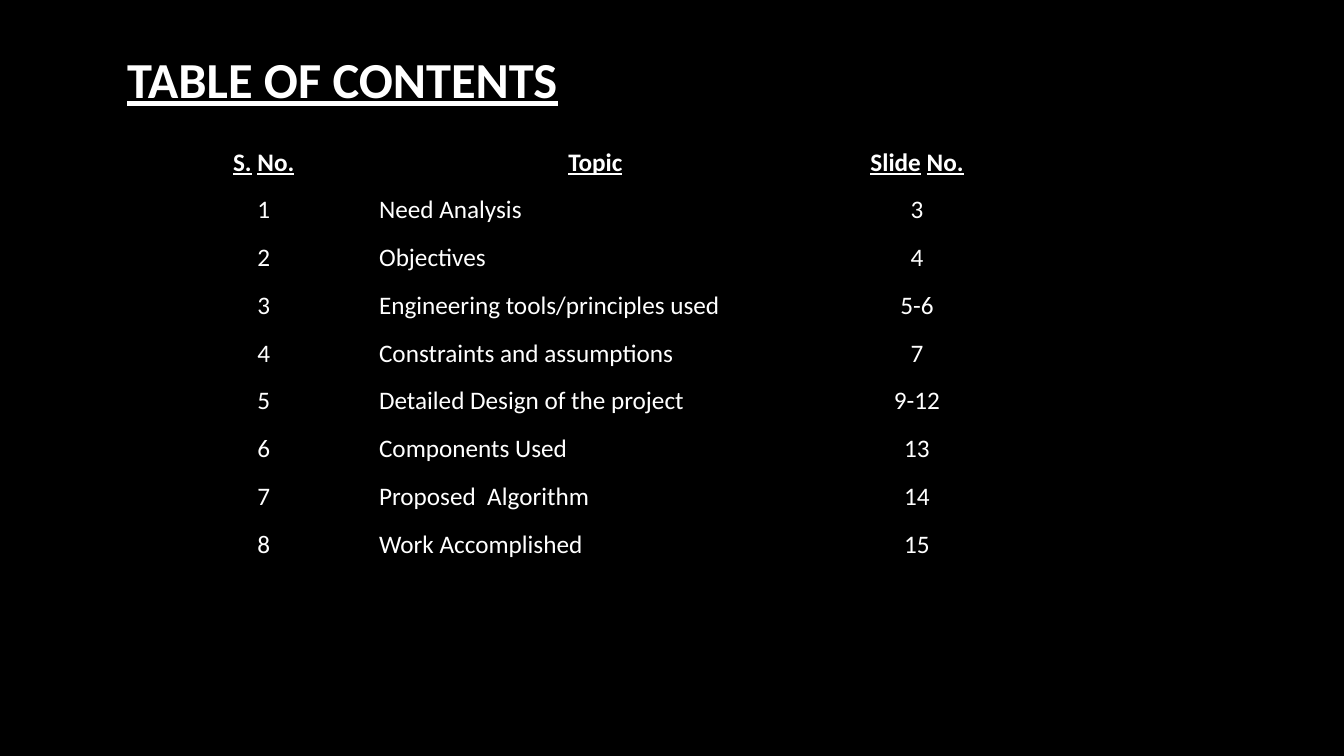
"""Build a table of contents slide with a title and a borderless topic table."""
from pptx import Presentation
from pptx.dml.color import RGBColor
from pptx.enum.text import MSO_ANCHOR as Anchor, PP_ALIGN as Align
from pptx.util import Inches, Pt

BLACK = RGBColor(0x00, 0x00, 0x00)
WHITE = RGBColor(0xFF, 0xFF, 0xFF)
FONT = "Calibri"
TITLE_ONLY = 5
NO_STYLE_NO_GRID = "{2D5ABB26-0587-4C30-8999-92F81FD0307C}"

SLIDE_WIDTH, SLIDE_HEIGHT = Inches(13.33), Inches(7.5)
TABLE_LEFT, TABLE_TOP, TABLE_HEIGHT = Inches(1.55), Inches(1.42), Inches(4.2)
COLUMN_WIDTHS = [Inches(2.13), Inches(4.45), Inches(1.93)]
LAST_ROW_HEIGHT = Inches(0.41)
COLUMN_ALIGNS = [Align.CENTER, Align.JUSTIFY, Align.CENTER]

HEADINGS = [["S.", "No."], ["Topic"], ["Slide", "No."]]
TOPICS = [
    ("Need Analysis", "3"),
    ("Objectives", "4"),
    ("Engineering tools/principles used", "5-6"),
    ("Constraints and assumptions", "7"),
    ("Detailed Design of the project", "9-12"),
    ("Components Used", "13"),
    ("Proposed  Algorithm", "14"),
    ("Work Accomplished", "15"),
]


def add_run(paragraph, text, size, heading=False):
    run = paragraph.add_run()
    run.text = text
    run.font.name = FONT
    run.font.size = Pt(size)
    run.font.color.rgb = WHITE
    run.font.bold = heading
    run.font.underline = heading


def add_title(slide, text):
    title = slide.shapes.title
    title.left, title.top = Inches(1.16), Inches(0.18)
    title.width, title.height = Inches(10.82), Inches(1.27)
    title.text_frame.vertical_anchor = Anchor.MIDDLE
    paragraph = title.text_frame.paragraphs[0]
    paragraph.alignment = Align.LEFT
    paragraph.line_spacing = 0.9
    add_run(paragraph, text, 36, heading=True)


def format_cell(cell, align):
    cell.fill.solid()
    cell.fill.fore_color.rgb = BLACK
    cell.margin_left = cell.margin_right = Inches(0.08)
    cell.margin_top, cell.margin_bottom = Inches(0.04), 0
    cell.vertical_anchor = Anchor.TOP
    paragraph = cell.text_frame.paragraphs[0]
    paragraph.alignment = align
    return paragraph


def add_contents_table(slide):
    row_count = len(TOPICS) + 1
    table = slide.shapes.add_table(
        row_count, len(COLUMN_WIDTHS), TABLE_LEFT, TABLE_TOP,
        sum(COLUMN_WIDTHS), TABLE_HEIGHT).table
    table.first_row = table.horz_banding = False
    table._tbl.tblPr[0].text = NO_STYLE_NO_GRID
    for column, width in zip(table.columns, COLUMN_WIDTHS):
        column.width = width
    for row in table.rows:
        row.height = (TABLE_HEIGHT - LAST_ROW_HEIGHT) // len(TOPICS)
    table.rows[row_count - 1].height = LAST_ROW_HEIGHT

    for column, words in enumerate(HEADINGS):
        paragraph = format_cell(table.cell(0, column), Align.CENTER)
        for position, word in enumerate(words):
            if position:
                add_run(paragraph, " ", 18)
            add_run(paragraph, word, 18, heading=True)

    for number, (topic, pages) in enumerate(TOPICS, start=1):
        for column, text in enumerate((str(number), topic, pages)):
            paragraph = format_cell(table.cell(number, column), COLUMN_ALIGNS[column])
            add_run(paragraph, text, 18)


def main():
    deck = Presentation()
    deck.slide_width, deck.slide_height = SLIDE_WIDTH, SLIDE_HEIGHT
    slide = deck.slides.add_slide(deck.slide_layouts[TITLE_ONLY])
    slide.background.fill.solid()
    slide.background.fill.fore_color.rgb = BLACK
    add_title(slide, "TABLE OF CONTENTS")
    add_contents_table(slide)
    deck.save("out.pptx")


if __name__ == "__main__":
    main()
